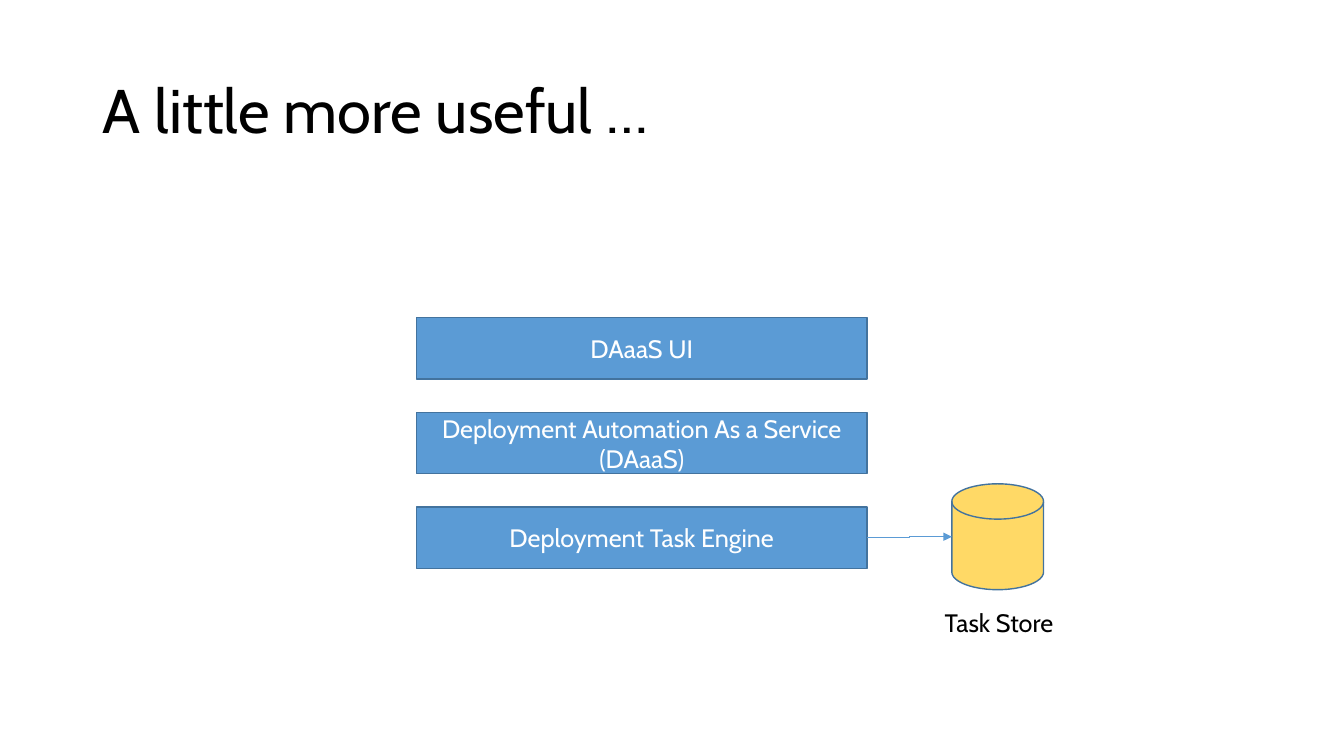
from dataclasses import dataclass

import pptx
import pptx.dml.color
import pptx.enum.shapes
import pptx.enum.text
import pptx.oxml
import pptx.oxml.ns
import pptx.shapes.autoshape
import pptx.shapes.connector
import pptx.slide
import pptx.text.text
import pptx.util

PRESET = pptx.enum.shapes.MSO_SHAPE
ALIGN = pptx.enum.text.PP_ALIGN
ANCHOR = pptx.enum.text.MSO_ANCHOR
FIT = pptx.enum.text.MSO_AUTO_SIZE


@dataclass(frozen=True)
class Theme:
    font: str = "Cabin"
    ink: str = "000000"
    layer_fill: str = "5B9BD5"
    layer_text: str = "FFFFFF"
    outline: str = "43739E"
    store_fill: str = "FFD966"
    title_size: int = 44
    body_size: int = 18
    outline_width: float = 1
    arrow_width: float = 0.5


@dataclass(frozen=True)
class Box:
    left: int
    top: int
    width: int
    height: int

    def emu(self) -> tuple[int, int, int, int]:
        return px(self.left), px(self.top), px(self.width), px(self.height)


@dataclass(frozen=True)
class Block:
    box: Box
    preset: PRESET
    fill: str
    text: str = ""


THEME = Theme()
EMU_PER_PX = 9144
SLIDE_WIDTH, SLIDE_HEIGHT = 1333, 750
TITLE_BOX = Box(92, 40, 1150, 145)
LAYER_LEFT, LAYER_TOP, LAYER_WIDTH, LAYER_HEIGHT = 413, 315, 447, 61
LAYER_PITCH = 94
LAYER_NAMES = [
    "DAaaS UI",
    "Deployment Automation As a Service (DAaaS)",
    "Deployment Task Engine",
]
LAYERS = [
    Block(
        Box(LAYER_LEFT, LAYER_TOP + row * LAYER_PITCH, LAYER_WIDTH, LAYER_HEIGHT),
        PRESET.RECTANGLE,
        THEME.layer_fill,
        name,
    )
    for row, name in enumerate(LAYER_NAMES)
]
STORE = Block(Box(944, 480, 91, 105), PRESET.FLOWCHART_MAGNETIC_DISK, THEME.store_fill)
STORE_LABEL_BOX = Box(927, 598, 131, 40)
RECTANGLE_RIGHT = 3
DISK_LEFT = 2


def px(length: int) -> int:
    return pptx.util.Emu(length * EMU_PER_PX)


def rgb(value: str) -> pptx.dml.color.RGBColor:
    return pptx.dml.color.RGBColor.from_string(value)


def write(
    frame: pptx.text.text.TextFrame,
    text: str,
    *,
    size: int = THEME.body_size,
    color: str = THEME.ink,
    align: ALIGN = ALIGN.LEFT,
    anchor: ANCHOR = ANCHOR.MIDDLE,
    wrap: bool = True,
    fit: FIT = FIT.NONE,
    line_spacing: float = 1.0,
) -> None:
    frame.word_wrap = wrap
    frame.auto_size = fit
    frame.vertical_anchor = anchor
    paragraph = frame.paragraphs[0]
    paragraph.alignment = align
    paragraph.line_spacing = line_spacing
    run = paragraph.add_run()
    run.text = text
    run.font.name = THEME.font
    run.font.size = pptx.util.Pt(size)
    run.font.color.rgb = rgb(color)


def draw_block(slide: pptx.slide.Slide, block: Block) -> pptx.shapes.autoshape.Shape:
    shape = slide.shapes.add_shape(block.preset, *block.box.emu())
    shape.shadow.inherit = False
    shape.fill.solid()
    shape.fill.fore_color.rgb = rgb(block.fill)
    shape.line.color.rgb = rgb(THEME.outline)
    shape.line.width = pptx.util.Pt(THEME.outline_width)
    if block.text:
        write(shape.text_frame, block.text, color=THEME.layer_text, align=ALIGN.CENTER)
    return shape


def draw_arrow(
    slide: pptx.slide.Slide,
    engine: pptx.shapes.autoshape.Shape,
    store: pptx.shapes.autoshape.Shape,
) -> pptx.shapes.connector.Connector:
    arrow = slide.shapes.add_connector(
        pptx.enum.shapes.MSO_CONNECTOR.ELBOW, 0, 0, 0, 0
    )
    arrow.begin_connect(engine, RECTANGLE_RIGHT)
    arrow.end_connect(store, DISK_LEFT)
    arrow.end_x = store.left
    arrow.end_y = store.top + store.height // 2
    arrow.line.color.rgb = rgb(THEME.layer_fill)
    arrow.line.width = pptx.util.Pt(THEME.arrow_width)
    head = pptx.oxml.parse_xml(
        f'<a:tailEnd {pptx.oxml.ns.nsdecls("a")} type="triangle"/>'
    )
    arrow.line._get_or_add_ln().append(head)
    no_effects = pptx.oxml.parse_xml(f'<a:effectLst {pptx.oxml.ns.nsdecls("a")}/>')
    arrow._element.spPr.append(no_effects)
    return arrow


def main() -> None:
    deck = pptx.Presentation()
    deck.slide_width, deck.slide_height = px(SLIDE_WIDTH), px(SLIDE_HEIGHT)
    slide = deck.slides.add_slide(deck.slide_layouts.get_by_name("Title Only"))

    title = slide.shapes.title
    title.left, title.top, title.width, title.height = TITLE_BOX.emu()
    write(
        title.text_frame,
        "A little more useful …",
        size=THEME.title_size,
        line_spacing=0.9,
    )

    layers = [draw_block(slide, layer) for layer in LAYERS]
    store = draw_block(slide, STORE)
    draw_arrow(slide, layers[-1], store)

    store_label = slide.shapes.add_textbox(*STORE_LABEL_BOX.emu())
    write(
        store_label.text_frame,
        "Task Store",
        anchor=ANCHOR.TOP,
        wrap=False,
        fit=FIT.SHAPE_TO_FIT_TEXT,
    )

    deck.save("out.pptx")


if __name__ == "__main__":
    main()
